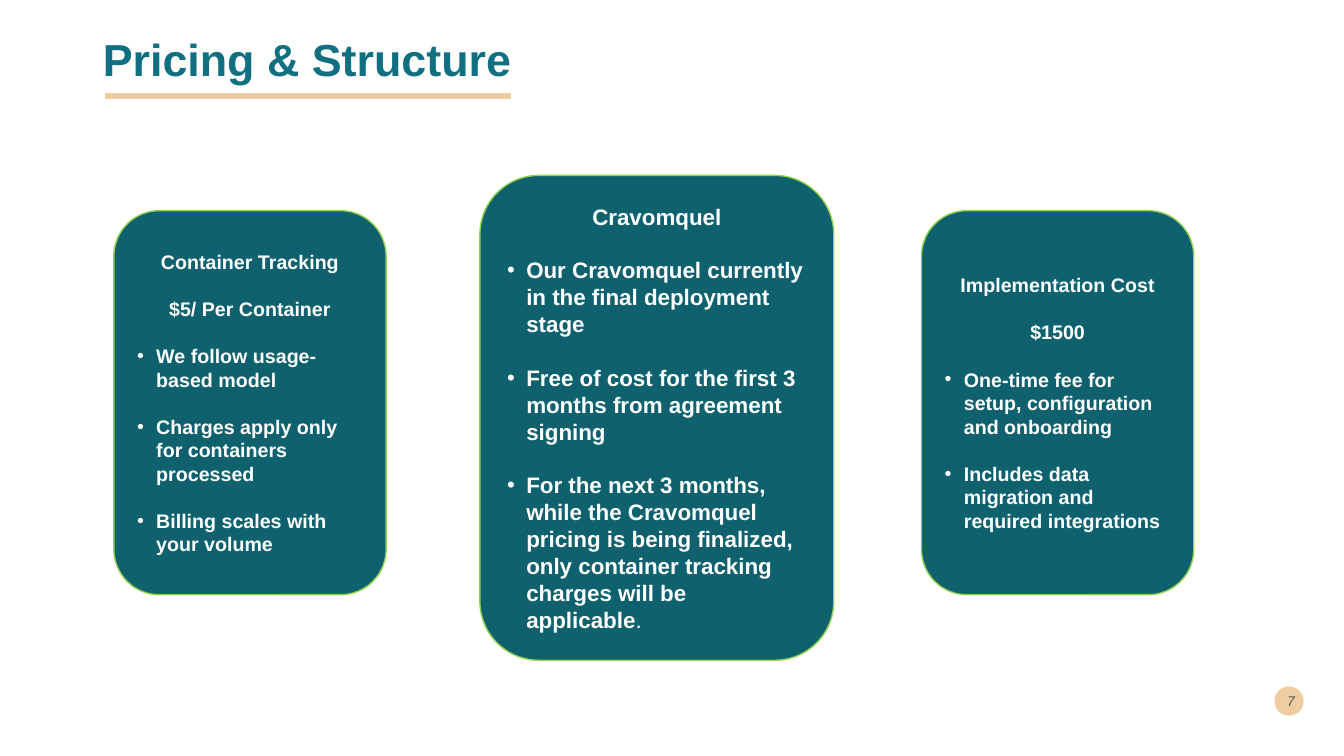
from lxml import etree
from pptx import Presentation
from pptx import util as u
from pptx.dml.color import RGBColor
from pptx.enum import shapes, text
from pptx.oxml import ns

FONT = "Arial"
TEAL, CARD, SAND, LIME, WHITE = "107082", "0E616D", "F0CDA1", "92D050", "FFFFFF"
CENTER, LEFT, RIGHT = text.PP_ALIGN.CENTER, text.PP_ALIGN.LEFT, text.PP_ALIGN.RIGHT
LINE_HEIGHT = 1.2
BULLET_INDENT = 0.19

CARDS = [
    ((1.13, 2.09, 2.7, 3.81), 14,
     ["Container Tracking", "$5/ Per Container"],
     ["We follow usage-based model",
      "Charges apply only for containers processed",
      "Billing scales with your volume"]),
    ((9.14, 2.09, 2.7, 3.81), 14,
     ["Implementation Cost", "$1500"],
     ["One-time fee for setup, configuration and onboarding",
      "Includes data migration and required integrations"]),
    ((4.76, 1.74, 3.51, 4.81), 16,
     ["Cravomquel"],
     ["Our Cravomquel currently in the final deployment stage",
      "Free of cost for the first 3 months from agreement signing",
      "For the next 3 months, while the Cravomquel pricing is being finalized, "
      "only container tracking charges will be applicable"]),
]


def color(value):
    return RGBColor.from_string(value)


def inches(bounds):
    return [u.Inches(length) for length in bounds]


def add_span(para, words, size, tint=WHITE, bold=False, italic=False):
    span = para.add_run()
    span.text = words
    span.font.name = FONT
    span.font.size = u.Pt(size)
    span.font.bold = bold
    span.font.italic = italic
    span.font.color.rgb = color(tint)


def add_bullet(para):
    properties = para._p.get_or_add_pPr()
    indent = u.Inches(BULLET_INDENT)
    properties.set("marL", str(indent))
    properties.set("indent", str(-indent))
    font = etree.SubElement(properties, ns.qn("a:buFont"))
    font.set("typeface", FONT)
    etree.SubElement(properties, ns.qn("a:buChar")).set("char", "•")


def add_shape(page, kind, bounds, fill, outline=None):
    shape = page.shapes.add_shape(kind, *inches(bounds))
    shape.shadow.inherit = False
    shape.fill.solid()
    shape.fill.fore_color.rgb = color(fill)
    if outline:
        shape.line.color.rgb = color(outline)
        shape.line.width = u.Pt(1)
    else:
        shape.line.fill.background()
    return shape


def add_card(page, bounds, size, headings, bullets):
    """Draw a rounded card with centred headings above a bullet list."""
    card = add_shape(page, shapes.MSO_SHAPE.ROUNDED_RECTANGLE, bounds, CARD, LIME)
    frame = card.text_frame
    frame.word_wrap = True
    frame.vertical_anchor = text.MSO_ANCHOR.MIDDLE
    for index, words in enumerate(headings + bullets):
        para = frame.add_paragraph() if index else frame.paragraphs[0]
        if index < len(headings):
            para.alignment = CENTER
        else:
            add_bullet(para)
            para.alignment = LEFT
        para.line_spacing = u.Pt(size * LINE_HEIGHT)
        if index:
            para.space_before = u.Pt(size * LINE_HEIGHT)
        add_span(para, words, size, bold=True)
    return para


def add_title(page, words):
    title = page.shapes.title
    title.left, title.top, title.width, title.height = inches((0.92, 0.15, 11.5, 0.93))
    title.text_frame.vertical_anchor = text.MSO_ANCHOR.MIDDLE
    para = title.text_frame.paragraphs[0]
    para.alignment = LEFT
    para.line_spacing = 0.9
    add_span(para, words, 32, TEAL, bold=True)


def add_underline(page, left, right, top):
    line = page.shapes.add_connector(
        shapes.MSO_CONNECTOR.STRAIGHT, *inches((left, top, right, top)))
    line.line.color.rgb = color(SAND)
    line.line.width = u.Pt(4.32)
    etree.SubElement(line._element.spPr, ns.qn("a:effectLst"))


def add_page_number(page, number):
    add_shape(page, shapes.MSO_SHAPE.OVAL, (12.64, 6.81, 0.29, 0.29), SAND)
    box = page.shapes.add_textbox(*inches((12.55, 6.75, 0.39, 0.4)))
    box.text_frame.word_wrap = True
    box.text_frame.vertical_anchor = text.MSO_ANCHOR.MIDDLE
    para = box.text_frame.paragraphs[0]
    para.alignment = RIGHT
    add_span(para, number, 10, "485A50", italic=True)


def main():
    deck = Presentation()
    deck.slide_width, deck.slide_height = inches((13.33, 7.5))
    page = deck.slides.add_slide(deck.slide_layouts[5])
    add_title(page, "Pricing & Structure")
    add_page_number(page, "7")
    for bounds, size, headings, bullets in CARDS:
        last = add_card(page, bounds, size, headings, bullets)
    add_span(last, ".", size)
    add_underline(page, 1.04, 5.07, 0.95)
    deck.save("out.pptx")


if __name__ == "__main__":
    main()
